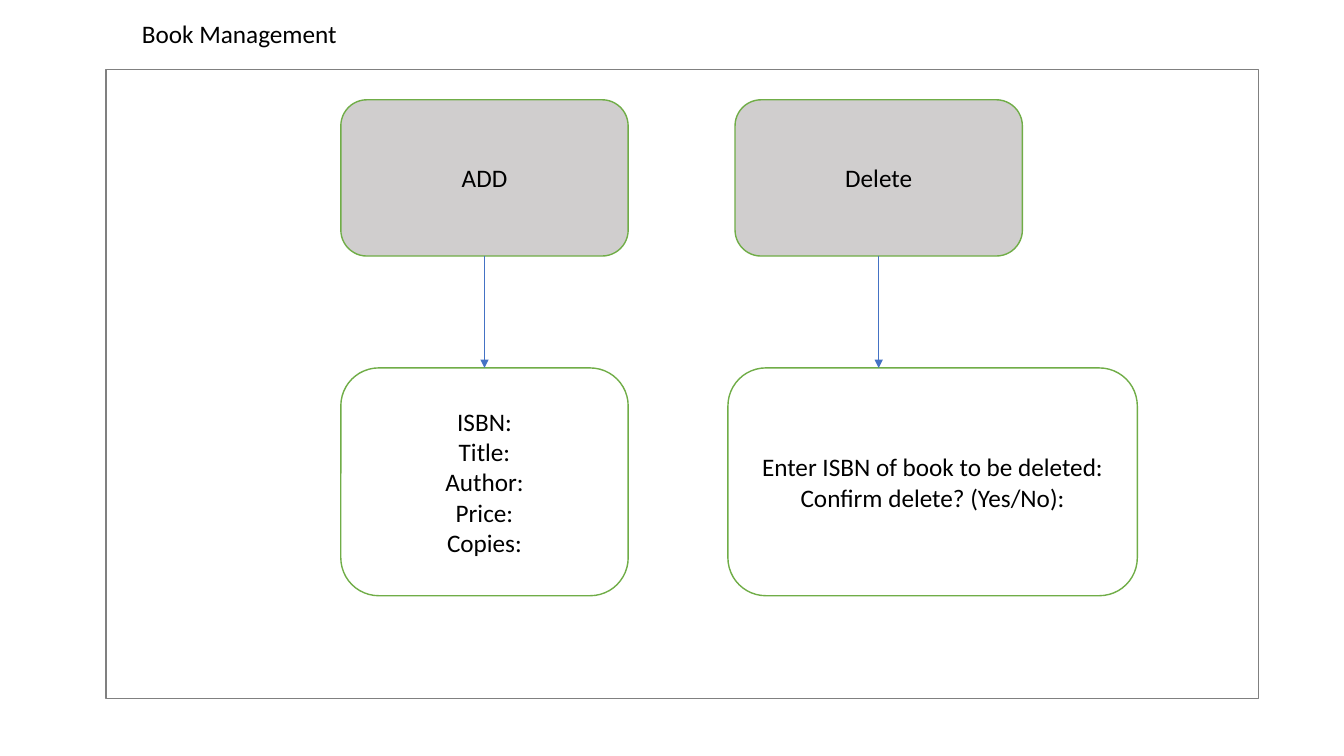
from dataclasses import dataclass

from lxml.etree import SubElement
from pptx import Presentation
from pptx.dml.color import RGBColor
from pptx.enum.shapes import MSO_CONNECTOR, MSO_SHAPE
from pptx.enum.text import MSO_ANCHOR, MSO_AUTO_SIZE, PP_ALIGN
from pptx.oxml.ns import qn
from pptx.util import Inches, Pt

SLIDE_WIDTH, SLIDE_HEIGHT = Inches(13.33), Inches(7.5)


@dataclass(frozen=True)
class Theme:
    """Colours, type and line widths of the slide."""
    font: str = "Calibri"
    text_size: float = 18
    text: str = "000000"
    paper: str = "FFFFFF"
    button: str = "D0CECE"
    frame_line: str = "808080"
    box_line: str = "70AD47"
    arrow: str = "4472C4"
    outline_width: float = 1
    arrow_width: float = 0.5


THEME = Theme()

# Percentages of the slide's width (left, width) and height (top, height)
FRAME = (7.88, 9.2, 85.75, 83.2)
HEADING = (9.83, 1.73, 29.86, 5.33)
BUTTON_TOP, BUTTON_WIDTH, BUTTON_HEIGHT = 13.2, 21.38, 20.67
FORM_TOP, FORM_HEIGHT = 48.67, 30.13

# Button label, button left, form left, form width, form lines
ACTIONS = [
    ("ADD", 25.36, 25.36, BUTTON_WIDTH,
     ["ISBN:", "Title:", "Author:", "Price:", "Copies:"]),
    ("Delete", 54.69, 54.16, 30.46,
     ["Enter ISBN of book to be deleted:", "Confirm delete? (Yes/No):"]),
]


def across(percent):
    """Turn a percentage of the slide's width into a length."""
    return round(SLIDE_WIDTH * percent / 100)


def down(percent):
    """Turn a percentage of the slide's height into a length."""
    return round(SLIDE_HEIGHT * percent / 100)


def place(area):
    """Turn an area in percent into left, top, width and height."""
    left, top, width, height = area
    return across(left), down(top), across(width), down(height)


def write(text_frame, lines, align=PP_ALIGN.LEFT, anchor=MSO_ANCHOR.TOP):
    """Fill a text frame with one paragraph per line."""
    text_frame.word_wrap = True
    text_frame.vertical_anchor = anchor
    text_frame.text = "\n".join(lines)
    for paragraph in text_frame.paragraphs:
        paragraph.alignment = align
        font = paragraph.font
        font.name, font.size = THEME.font, Pt(THEME.text_size)
        font.color.rgb = RGBColor.from_string(THEME.text)


def add_box(slide, preset, area, fill, line, lines=()):
    """Add an outlined box, with centred text if lines are given."""
    box = slide.shapes.add_shape(preset, *place(area))
    box.shadow.inherit = False
    box.fill.solid()
    box.fill.fore_color.rgb = RGBColor.from_string(fill)
    box.line.color.rgb = RGBColor.from_string(line)
    box.line.width = Pt(THEME.outline_width)
    if lines:
        write(box.text_frame, lines, PP_ALIGN.CENTER, MSO_ANCHOR.MIDDLE)


def add_heading(slide, text):
    """Add the heading above the frame."""
    heading = slide.shapes.add_textbox(*place(HEADING)).text_frame
    write(heading, [text])
    heading.auto_size = MSO_AUTO_SIZE.SHAPE_TO_FIT_TEXT


def add_down_arrow(slide, center, top, bottom):
    """Add a vertical arrow pointing down."""
    arrow = slide.shapes.add_connector(
        MSO_CONNECTOR.STRAIGHT,
        across(center), down(top), across(center), down(bottom))
    arrow.line.color.rgb = RGBColor.from_string(THEME.arrow)
    arrow.line.width = Pt(THEME.arrow_width)
    SubElement(arrow.line._get_or_add_ln(), qn("a:tailEnd"), type="triangle")
    SubElement(arrow._element.spPr, qn("a:effectLst"))


def main():
    """Build the slide and save it."""
    deck = Presentation()
    deck.slide_width, deck.slide_height = SLIDE_WIDTH, SLIDE_HEIGHT
    slide = deck.slides.add_slide(deck.slide_layouts[6])

    add_box(slide, MSO_SHAPE.RECTANGLE, FRAME, THEME.paper, THEME.frame_line)
    add_heading(slide, "Book Management")
    for label, button_left, form_left, form_width, form_lines in ACTIONS:
        button = (button_left, BUTTON_TOP, BUTTON_WIDTH, BUTTON_HEIGHT)
        form = (form_left, FORM_TOP, form_width, FORM_HEIGHT)
        add_box(slide, MSO_SHAPE.ROUNDED_RECTANGLE, button,
                THEME.button, THEME.box_line, [label])
        add_box(slide, MSO_SHAPE.ROUNDED_RECTANGLE, form,
                THEME.paper, THEME.box_line, form_lines)
        add_down_arrow(slide, button_left + BUTTON_WIDTH / 2,
                       BUTTON_TOP + BUTTON_HEIGHT, FORM_TOP)

    deck.save("out.pptx")


main()
